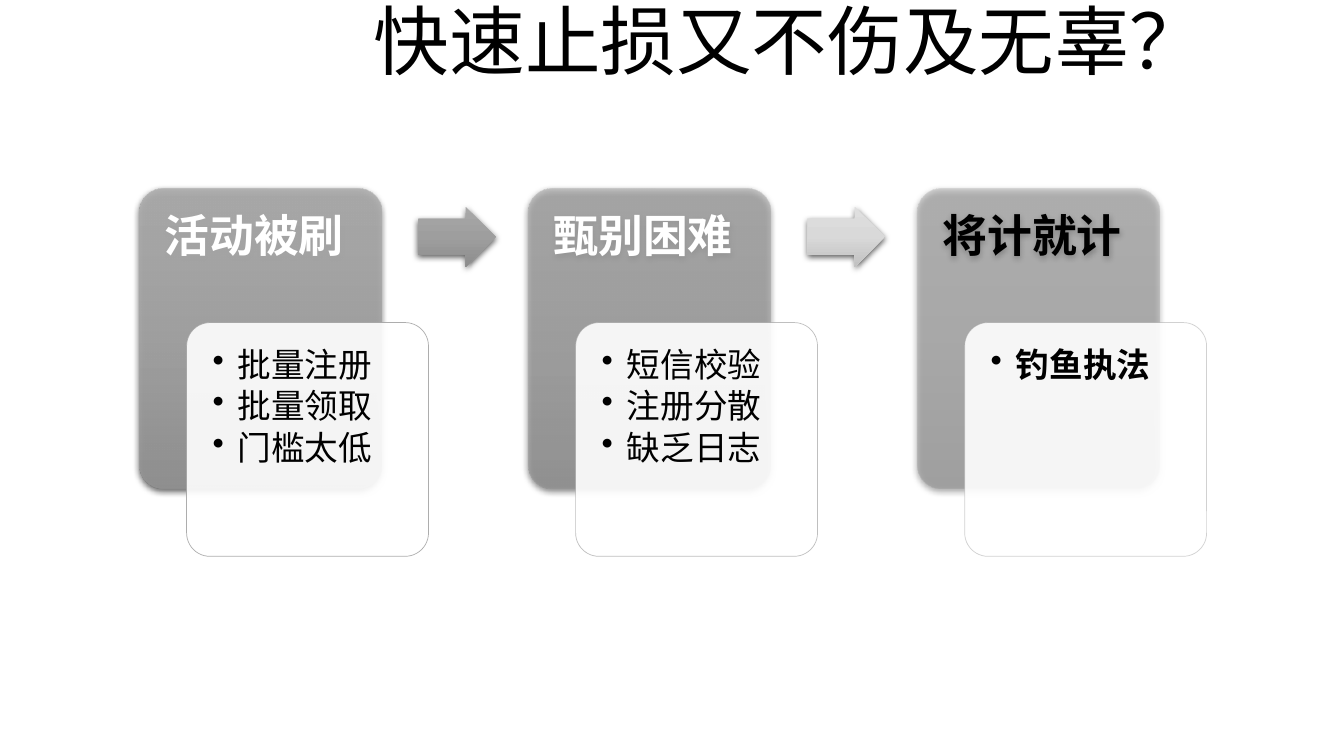
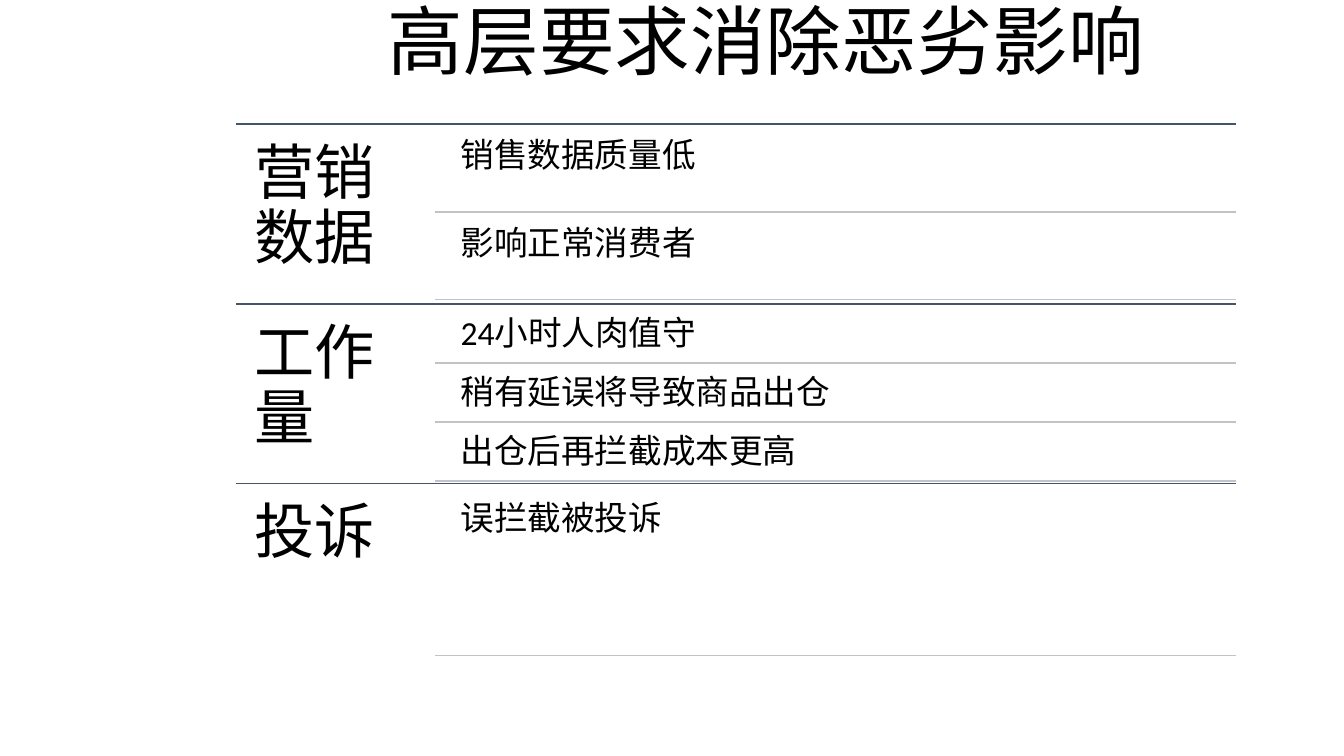
from lxml.etree import SubElement
from pptx import Presentation
from pptx.dml.color import RGBColor
from pptx.enum.shapes import MSO_CONNECTOR, MSO_SHAPE
from pptx.enum.text import MSO_ANCHOR, PP_ALIGN
from pptx.oxml.ns import qn
from pptx.util import Pt

COLORS = {
    "black": "000000",
    "white": "FFFFFF",
    "gray": "A5A5A5",
    "section_rule": "44546A",
    "row_rule": "C1C3C7",
}
CARD_SHADES = ("AFAFAF", "A5A5A5", "939393")
CJK_FONT = "Noto Sans CJK SC"
LATIN_FONT = "Calibri"

STEPS_TITLE = "快速止损又不伤及无辜？"
STEPS = [
    {"name": "活动被刷", "color": "white", "opacity": 90, "bold": False,
     "points": ["批量注册", "批量领取", "门槛太低"]},
    {"name": "甄别困难", "color": "white", "opacity": 70, "bold": False,
     "points": ["短信校验", "注册分散", "缺乏日志"]},
    {"name": "将计就计", "color": "black", "opacity": 50, "bold": True,
     "points": ["钓鱼执法"]},
]
ARROW_SHADES = [("A8A8A8", "9E9E9E", "8C8C8C"), ("DFDFDF", "D9D9D9", "C0C0C0")]

IMPACT_TITLE = "高层要求消除恶劣影响"
IMPACTS = [
    ("营销数据", ["销售数据质量低", "影响正常消费者"]),
    ("工作量", ["24小时人肉值守", "稍有延误将导致商品出仓", "出仓后再拦截成本更高"]),
    ("投诉", ["误拦截被投诉"]),
]

STEP_LEFT, STEP_TOP, STEP_PITCH = 99.4, 134.6, 277.9
CARD_WIDTH, CARD_HEIGHT = 172.8, 214.6
PANEL_DX, PANEL_DY, PANEL_HEIGHT = 33.9, 95.8, 167
ARROW_DX, ARROW_DY, ARROW_WIDTH, ARROW_HEIGHT = 199.4, 13, 55.4, 43.2

TABLE_LEFT, TABLE_TOP, TABLE_RIGHT = 168.5, 88.7, 882.7
SECTION_HEIGHT, LABEL_WIDTH, ROW_INDENT = 128.4, 142.6, 10.8
ROW_GAP_RATIO = 0.05


def rgb(name):
    return RGBColor.from_string(COLORS[name])


def add_alpha(fill_parent, opacity):
    color = next(fill_parent.iter(qn("a:srgbClr")))
    SubElement(color, qn("a:alpha"), val=str(opacity * 1000))


def fill_gradient(shape, shades, opacity=100):
    shape.fill.gradient()
    shape.fill.gradient_angle = 270
    stops = shape._element.spPr.find(qn("a:gradFill")).find(qn("a:gsLst"))
    for stop in list(stops):
        stops.remove(stop)
    for position, shade in zip((0, 50, 100), shades):
        stop = SubElement(stops, qn("a:gs"), pos=str(position * 1000))
        SubElement(stop, qn("a:srgbClr"), val=shade)
        add_alpha(stop, opacity)


def add_soft_shadow(shape):
    effects = shape._element.spPr.find(qn("a:effectLst"))
    shadow = SubElement(effects, qn("a:outerShdw"), blurRad=str(Pt(4.5)),
                        dist=str(Pt(1.5)), dir="5400000", algn="ctr", rotWithShape="0")
    SubElement(shadow, qn("a:srgbClr"), val=COLORS["black"])
    add_alpha(shadow, 63)


def add_bullet(paragraph):
    properties = paragraph._p.get_or_add_pPr()
    properties.set("marL", str(Pt(18)))
    properties.set("indent", str(Pt(-18)))
    SubElement(properties, qn("a:buChar"), char="•")


def write(shape, lines, size, font=LATIN_FONT, color="black", bold=False, align=PP_ALIGN.LEFT,
          margins=(7.2, 3.6, 7.2, 3.6), spacing=None, after=0, bullets=False):
    frame = shape.text_frame
    frame.word_wrap = True
    frame.vertical_anchor = MSO_ANCHOR.TOP
    frame.margin_left, frame.margin_top, frame.margin_right, frame.margin_bottom = map(Pt, margins)
    frame.text = "\n".join(lines)
    for paragraph in frame.paragraphs:
        paragraph.alignment = align
        paragraph.line_spacing = spacing
        paragraph.space_after = Pt(after)
        if bullets:
            add_bullet(paragraph)
        for run in paragraph.runs:
            run.font.size = Pt(size)
            run.font.name = font
            run.font.bold = bold
            run.font.color.rgb = rgb(color)
            if font == CJK_FONT:
                SubElement(run.font._element, qn("a:ea"), typeface=font)


def add_text(slide, lines, left, top, width, height, size, **style):
    box = slide.shapes.add_textbox(Pt(left), Pt(top), Pt(width), Pt(height))
    write(box, lines, size, **style)


def add_block(slide, kind, left, top, width, height, adjustments):
    shape = slide.shapes.add_shape(kind, Pt(left), Pt(top), Pt(width), Pt(height))
    for index, value in enumerate(adjustments):
        shape.adjustments[index] = value
    shape.line.fill.background()
    shape.shadow.inherit = False
    return shape


def add_rule(slide, left, top, color):
    rule = slide.shapes.add_connector(MSO_CONNECTOR.STRAIGHT, Pt(left), Pt(top),
                                      Pt(TABLE_RIGHT), Pt(top))
    rule.line.color.rgb = rgb(color)
    rule.line.width = Pt(1)
    SubElement(rule._element.spPr, qn("a:effectLst"))


def add_slide(presentation, title, left, width, align):
    slide = presentation.slides.add_slide(presentation.slide_layouts[6])
    add_text(slide, [title], left, -7.9, width, 72.7, 54, font=CJK_FONT, align=align)
    return slide


def add_step(slide, step, left):
    card = add_block(slide, MSO_SHAPE.ROUNDED_RECTANGLE, left, STEP_TOP,
                     CARD_WIDTH, CARD_HEIGHT, [0.1])
    fill_gradient(card, CARD_SHADES, step["opacity"])
    add_soft_shadow(card)
    write(card, [step["name"]], 32, font=CJK_FONT, color=step["color"], bold=True,
          margins=(13, 13, 13, 9), spacing=0.9)

    panel = add_block(slide, MSO_SHAPE.ROUNDED_RECTANGLE, left + PANEL_DX, STEP_TOP + PANEL_DY,
                      CARD_WIDTH, PANEL_HEIGHT, [0.1])
    panel.fill.solid()
    panel.fill.fore_color.rgb = rgb("white")
    add_alpha(panel._element.spPr.find(qn("a:solidFill")), 90)
    panel.line.color.rgb = rgb("gray")
    panel.line.width = Pt(0.5)
    add_alpha(panel._element.spPr.find(qn("a:ln")), step["opacity"])
    write(panel, step["points"], 24, bold=step["bold"], margins=(13.7,) * 4,
          spacing=0.9, after=3.6, bullets=True)


def add_impact(slide, label, rows, top):
    add_rule(slide, TABLE_LEFT, top, "section_rule")
    add_text(slide, [label], TABLE_LEFT, top, LABEL_WIDTH, SECTION_HEIGHT, 43,
             margins=(13,) * 4, spacing=0.9)
    row_left = TABLE_LEFT + LABEL_WIDTH
    text_left = row_left + ROW_INDENT
    row_height = SECTION_HEIGHT / (len(rows) + ROW_GAP_RATIO * (len(rows) + 1))
    gap = row_height * ROW_GAP_RATIO
    for index, row in enumerate(rows):
        row_top = top + gap + index * (row_height + gap)
        add_text(slide, [row], text_left, row_top, TABLE_RIGHT - text_left, row_height, 24,
                 margins=(7.2,) * 4, spacing=0.9)
        add_rule(slide, row_left, row_top + row_height, "row_rule")


def main():
    presentation = Presentation()
    presentation.slide_width, presentation.slide_height = Pt(960), Pt(540)

    steps_slide = add_slide(presentation, STEPS_TITLE, 190.8, 746.6, PP_ALIGN.CENTER)
    for index, step in enumerate(STEPS):
        add_step(steps_slide, step, STEP_LEFT + index * STEP_PITCH)
    for index, shades in enumerate(ARROW_SHADES):
        arrow = add_block(steps_slide, MSO_SHAPE.RIGHT_ARROW,
                          STEP_LEFT + ARROW_DX + index * STEP_PITCH, STEP_TOP + ARROW_DY,
                          ARROW_WIDTH, ARROW_HEIGHT, [0.6, 0.5])
        fill_gradient(arrow, shades)
        add_soft_shadow(arrow)

    impact_slide = add_slide(presentation, IMPACT_TITLE, 270, 714.2, PP_ALIGN.LEFT)
    for index, (label, rows) in enumerate(IMPACTS):
        add_impact(impact_slide, label, rows, TABLE_TOP + index * SECTION_HEIGHT)

    presentation.save("out.pptx")


if __name__ == "__main__":
    main()
